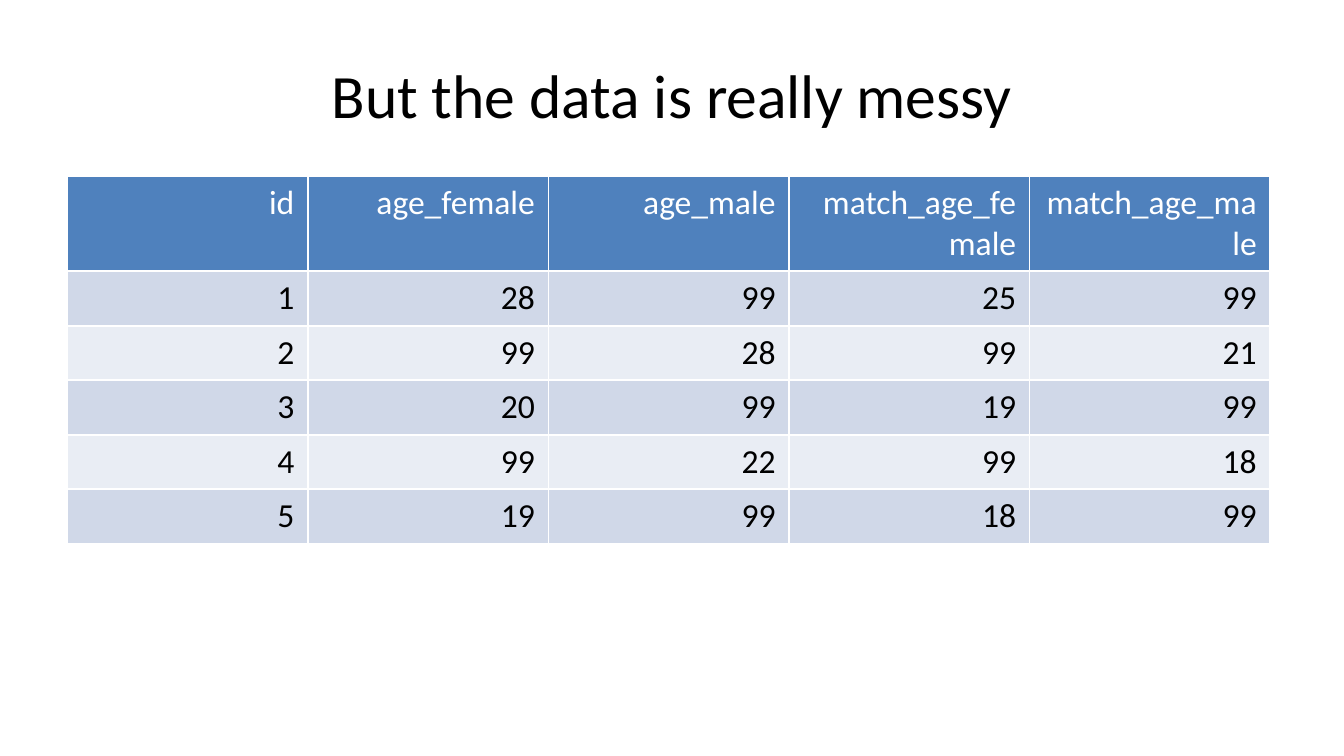
from dataclasses import dataclass

from pptx import Presentation
from pptx.dml.color import RGBColor
from pptx.enum import text
from pptx.oxml import ns, xmlchemy
from pptx.util import Pt


@dataclass(frozen=True)
class Theme:
    """Colours, font and type sizes of the slide."""
    font: str = "Calibri"
    title_size: float = 33
    cell_size: float = 18
    ink: str = "000000"
    paper: str = "FFFFFF"
    header: str = "4F81BD"
    bands: tuple = ("D0D8E8", "E9EDF4")
    rule: float = 1


THEME = Theme()
HEADING = "But the data is really messy"
COLUMNS = ("id", "age_female", "age_male", "match_age_female", "match_age_male")
RECORDS = (
    (1, 28, 99, 25, 99),
    (2, 99, 28, 99, 21),
    (3, 20, 99, 19, 99),
    (4, 99, 22, 99, 18),
    (5, 19, 99, 18, 99),
)


def write(frame, words, size, colour, align):
    """Set one formatted paragraph in a text frame."""
    paragraph = frame.paragraphs[0]
    paragraph.alignment = align
    run = paragraph.add_run()
    run.text = str(words)
    for name, value in {"name": THEME.font, "size": Pt(size)}.items():
        setattr(run.font, name, value)
    run.font.color.rgb = RGBColor.from_string(colour)


def rule_cell(cell):
    """Draw thin paper-coloured borders on every side of a cell."""
    properties = cell._tc.get_or_add_tcPr()
    for position, side in enumerate(("lnL", "lnR", "lnT", "lnB")):
        line = xmlchemy.OxmlElement(f"a:{side}")
        line.set("w", str(Pt(THEME.rule)))
        fill = line.makeelement(ns.qn("a:solidFill"))
        colour = line.makeelement(ns.qn("a:srgbClr"), {"val": THEME.paper})
        fill.append(colour)
        line.append(fill)
        properties.insert(position, line)


def add_heading(slide, left, top, width, height):
    """Place the centred heading in its box."""
    box = slide.shapes.add_textbox(Pt(left), Pt(top), Pt(width), Pt(height))
    frame = box.text_frame
    settings = {"word_wrap": True, "vertical_anchor": text.MSO_ANCHOR.MIDDLE}
    for name, value in settings.items():
        setattr(frame, name, value)
    write(frame, HEADING, THEME.title_size, THEME.ink, text.PP_ALIGN.CENTER)


def add_records(slide, left, top, width, header_height, row_height):
    """Place the banded table of records below a header row."""
    rows = (COLUMNS, *RECORDS)
    height = header_height + row_height * len(RECORDS)
    table = slide.shapes.add_table(
        len(rows), len(COLUMNS), Pt(left), Pt(top), Pt(width), Pt(height)
    ).table
    for column in table.columns:
        column.width = Pt(width / len(COLUMNS))
    for index, values in enumerate(rows):
        is_header = index == 0
        table.rows[index].height = Pt(header_height if is_header else row_height)
        fill = THEME.header if is_header else THEME.bands[(index - 1) % 2]
        ink = THEME.paper if is_header else THEME.ink
        for cell, value in zip(table.rows[index].cells, values):
            cell.fill.solid()
            cell.fill.fore_color.rgb = RGBColor.from_string(fill)
            rule_cell(cell)
            write(cell.text_frame, value, THEME.cell_size, ink, text.PP_ALIGN.RIGHT)


def main():
    """Build and save the slide."""
    deck = Presentation()
    deck.slide_width, deck.slide_height = Pt(720), Pt(405)
    slide = deck.slides.add_slide(deck.slide_layouts[6])
    add_heading(slide, 36, 16.5, 648, 67.5)
    add_records(slide, 36, 94.3, 644.5, 51, 29.2)
    deck.save("out.pptx")


if __name__ == "__main__":
    main()
